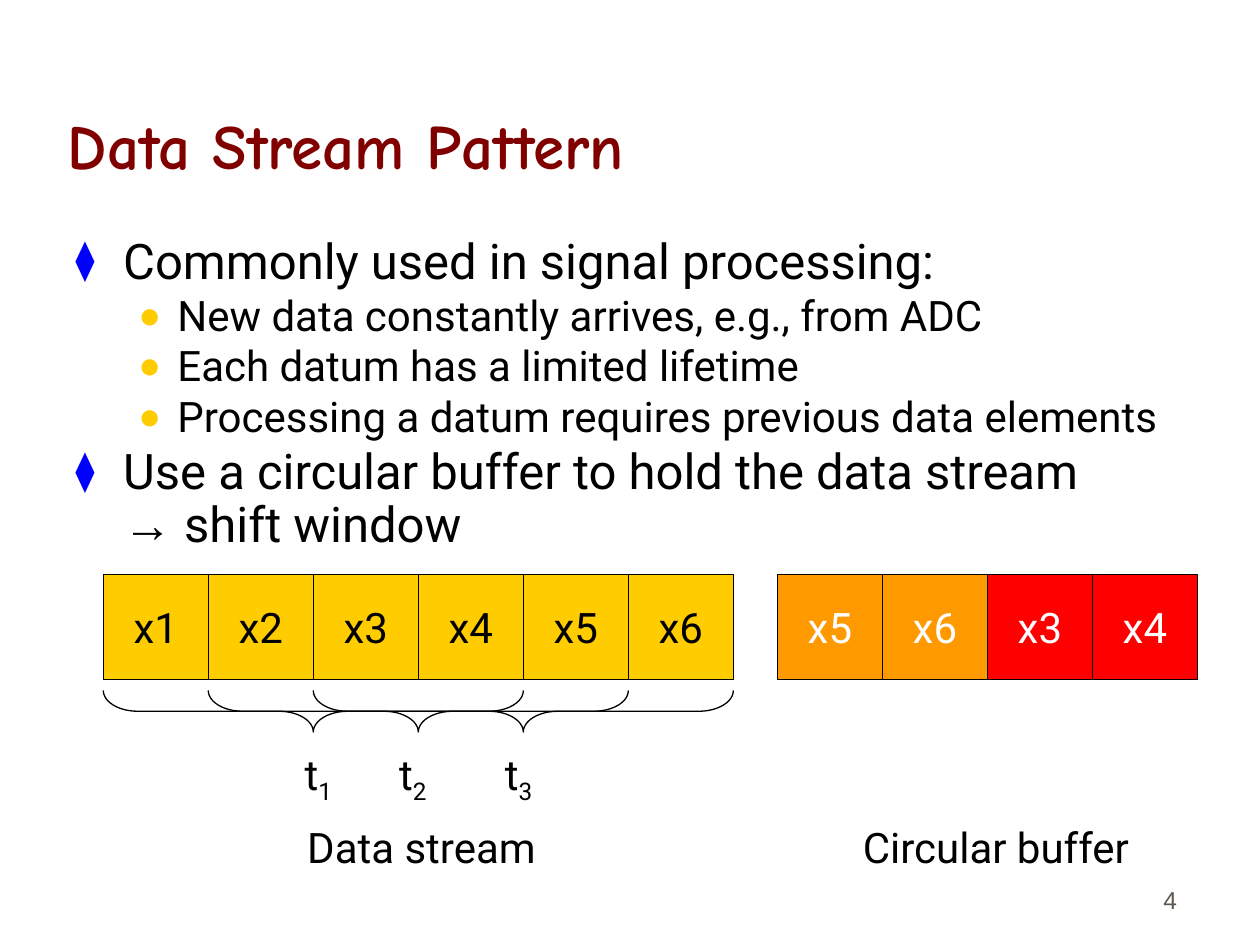
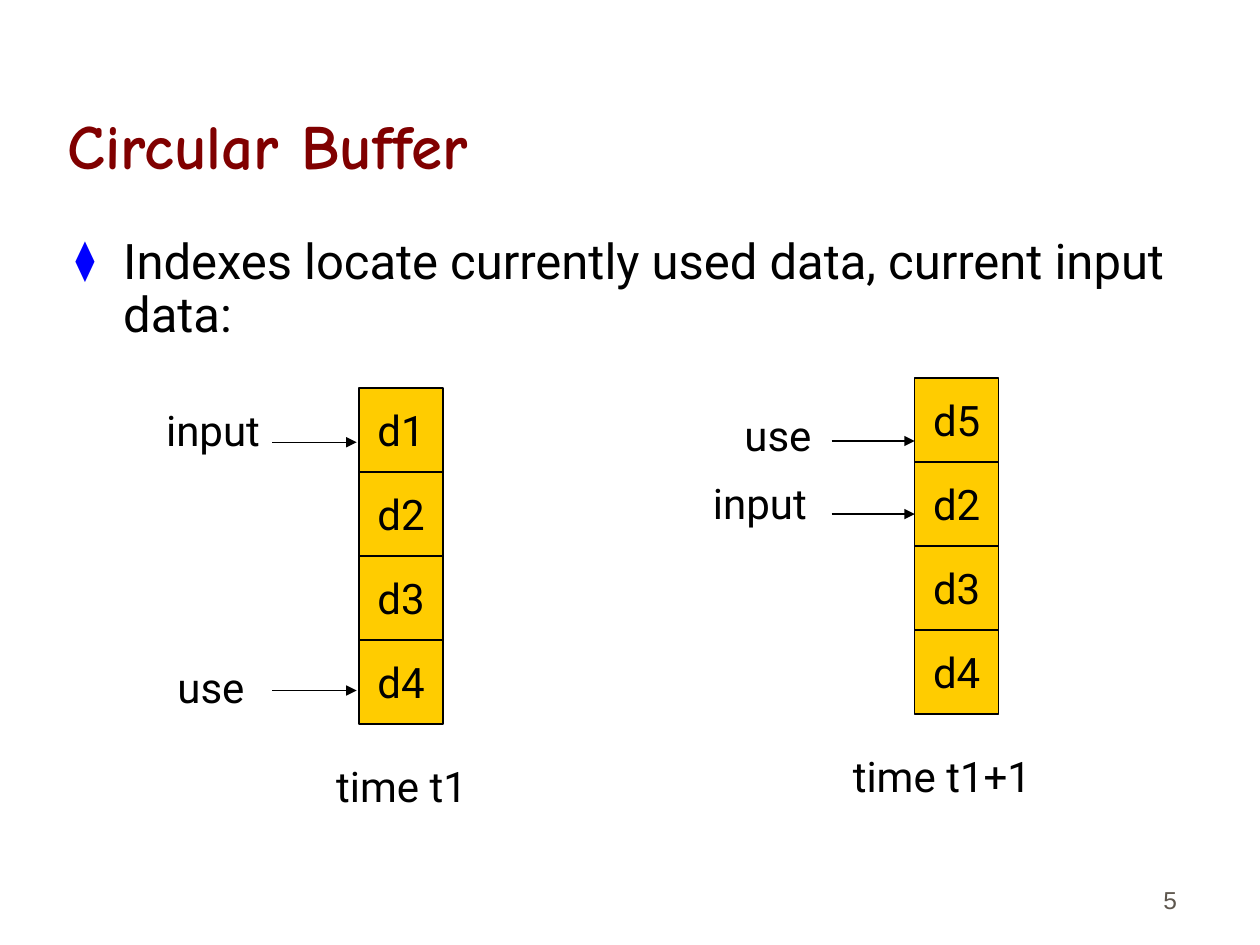
from lxml.etree import SubElement as Sub
from pptx import Presentation
from pptx.dml.color import RGBColor as RGB
from pptx.enum.shapes import MSO_CONNECTOR as Link, MSO_SHAPE as Shape
from pptx.enum.text import MSO_ANCHOR as Anchor, MSO_AUTO_SIZE as Fit, PP_ALIGN as Align
from pptx.oxml.ns import qn
from pptx.util import Inches, Pt

BLACK = RGB(0, 0, 0)
WHITE = RGB(255, 255, 255)
MAROON = RGB(0x80, 0, 0)
BLUE = RGB(0, 0, 255)
GOLD = RGB(0xFF, 0xCC, 0)
ORANGE = RGB(0xFF, 0x99, 0)
RED = RGB(255, 0, 0)
GRAY = RGB(0x5E, 0x57, 0x4E)

# Per level: bullet, its colour, its size, margin, indent, text size, space before
LEVELS = [
    ("⧫", BLUE, 80, 0.38, 0.38, 28, 3.5),
    ("●", GOLD, 90, 0.81, 0.31, 24, 3),
]


class Deck:
    body, head = "Roboto", "Comic Neue"

    def __init__(self):
        self.prs = Presentation()
        self.prs.slide_width, self.prs.slide_height = Inches(10), Inches(7.5)
        self.slide = None

    def style(self, par, size=24, color=BLACK, name=body, bold=None):
        font = par.font
        font.size, font.name, font.bold = Pt(size), name, bold
        font.color.rgb = color

    def frame(self, x, y, w, h, anchor=Anchor.TOP):
        box = self.slide.shapes.add_textbox(Inches(x), Inches(y), Inches(w), Inches(h))
        box.text_frame.word_wrap = True
        box.text_frame.vertical_anchor = anchor
        return box.text_frame

    def page(self, title, number):
        self.slide = self.prs.slides.add_slide(self.prs.slide_layouts[6])
        par = self.frame(0.44, 0.25, 8.97, 1.25, Anchor.BOTTOM).paragraphs[0]
        par.text, par.line_spacing = title, 0.85
        self.style(par, 36, MAROON, self.head, True)
        par = self.frame(7.36, 6.81, 2.08, 0.5, Anchor.BOTTOM).paragraphs[0]
        par.text, par.alignment = str(number), Align.RIGHT
        self.style(par, 14, GRAY, "Arial")

    def bullets(self, height, items):
        frame = self.frame(0.5, 1.83, 8.94, height)
        for i, (level, text) in enumerate(items):
            par = frame.add_paragraph() if i else frame.paragraphs[0]
            mark, color, scale, margin, indent, size, space = LEVELS[level]
            props = par._p.get_or_add_pPr()
            props.set("marL", str(Inches(margin)))
            props.set("indent", str(-Inches(indent)))
            Sub(Sub(props, qn("a:buClr")), qn("a:srgbClr"), val=str(color))
            Sub(props, qn("a:buSzPct"), val=str(scale * 1000))
            Sub(props, qn("a:buFont"), typeface="Arial")
            Sub(props, qn("a:buChar"), char=mark)
            par.level, par.line_spacing = level, 0.9
            if i:
                par.space_before = Pt(space)
            self.style(par, size)
            # The arrow sign has its own font
            before, arrow, after = text.partition("→")
            par.text = before
            if arrow:
                run = par.add_run()
                run.text, run.font.name = arrow, "Arial"
                par.add_run().text = after

    def label(self, x, y, w, text, sub=""):
        frame = self.frame(x, y, w, 0.5)
        frame.word_wrap, frame.auto_size = False, Fit.SHAPE_TO_FIT_TEXT
        par = frame.paragraphs[0]
        par.text = text
        self.style(par)
        if sub:
            run = par.add_run()
            run.text = sub
            run._r.get_or_add_rPr().set("baseline", "-25000")

    def cell(self, x, y, side, text, fill=GOLD, color=BLACK):
        box = self.slide.shapes.add_shape(
            Shape.RECTANGLE, Inches(x), Inches(y), Inches(side), Inches(side))
        box.shadow.inherit = False
        box.fill.solid()
        box.fill.fore_color.rgb = fill
        box.line.color.rgb, box.line.width = BLACK, Pt(0.75)
        frame = box.text_frame
        frame.word_wrap, frame.vertical_anchor = False, Anchor.MIDDLE
        par = frame.paragraphs[0]
        par.text, par.alignment = text, Align.CENTER
        self.style(par, color=color)

    def brace(self, x, y, span, depth):
        """Brace below a row, pointing down; x and y are its top left."""
        left, top = x + (span - depth) / 2, y - (span - depth) / 2
        shape = self.slide.shapes.add_shape(
            Shape.LEFT_BRACE, Inches(left), Inches(top), Inches(depth), Inches(span))
        shape.rotation = 270
        shape.adjustments[0] = 0.83
        shape.shadow.inherit = False
        shape.fill.background()
        shape.line.color.rgb, shape.line.width = BLACK, Pt(0.75)

    def arrow(self, x, y, end):
        line = self.slide.shapes.add_connector(
            Link.STRAIGHT, Inches(x), Inches(y), Inches(end), Inches(y))
        line.line.color.rgb, line.line.width = BLACK, Pt(0.75)
        Sub(line.line._get_or_add_ln(), qn("a:tailEnd"), type="triangle")
        Sub(line._element.spPr, qn("a:effectLst"))


def stream(deck):
    deck.page("Data Stream Pattern", 4)
    deck.bullets(4.92, [
        (0, "Commonly used in signal processing:"),
        (1, "New data constantly arrives, e.g., from ADC"),
        (1, "Each datum has a limited lifetime"),
        (1, "Processing a datum requires previous data elements"),
        (0, "Use a circular buffer to hold the data stream\v→ shift window"),
    ])
    side, left, top = 5 / 6, 0.82, 4.56
    # Data stream with its sliding windows of four cells
    for i in range(6):
        deck.cell(left + i * side, top, side, f"x{i + 1}")
    for i, x in enumerate((2.32, 3.07, 3.91)):
        deck.brace(left + i * side, 5.48, 4 * side, 0.33)
        deck.label(x, 5.89, 0.43, "t", str(i + 1))
    deck.label(2.34, 6.47, 2.13, "Data stream")
    # Circular buffer
    for i, (text, fill) in enumerate(
            [("x5", ORANGE), ("x6", ORANGE), ("x3", RED), ("x4", RED)]):
        deck.cell(6.17 + i * side, top, side, text, fill, WHITE)
    deck.label(6.75, 6.47, 2.46, "Circular buffer")


def buffer(deck):
    deck.page("Circular Buffer", 5)
    deck.bullets(1.37, [(0, "Indexes locate currently used data, current input data:")])
    side = 2 / 3
    # Each state: cell column, caption, then pointers (text, x, y, width, arrow y)
    states = [
        (2.85, 3.08, ("d1", "d2", "d3", "d4"), (2.57, 5.99, 1.3, "time t1"), 2.16, 2.83,
         [("input", 1.22, 3.16, 1.02, 3.51), ("use", 1.31, 5.2, 0.75, 5.48)]),
        (7.26, 3, ("d5", "d2", "d3", "d4"), (6.67, 5.91, 1.68, "time t1+1"), 6.6, 7.26,
         [("use", 5.81, 3.2, 0.75, 3.5), ("input", 5.56, 3.74, 1.02, 4.08)]),
    ]
    for left, top, data, note, start, end, marks in states:
        for i, text in enumerate(data):
            deck.cell(left, top + i * side, side, text)
        deck.label(*note)
        for text, x, y, width, level in marks:
            deck.arrow(start, level, end)
            deck.label(x, y, width, text)


def main():
    deck = Deck()
    stream(deck)
    buffer(deck)
    deck.prs.save("out.pptx")


if __name__ == "__main__":
    main()
